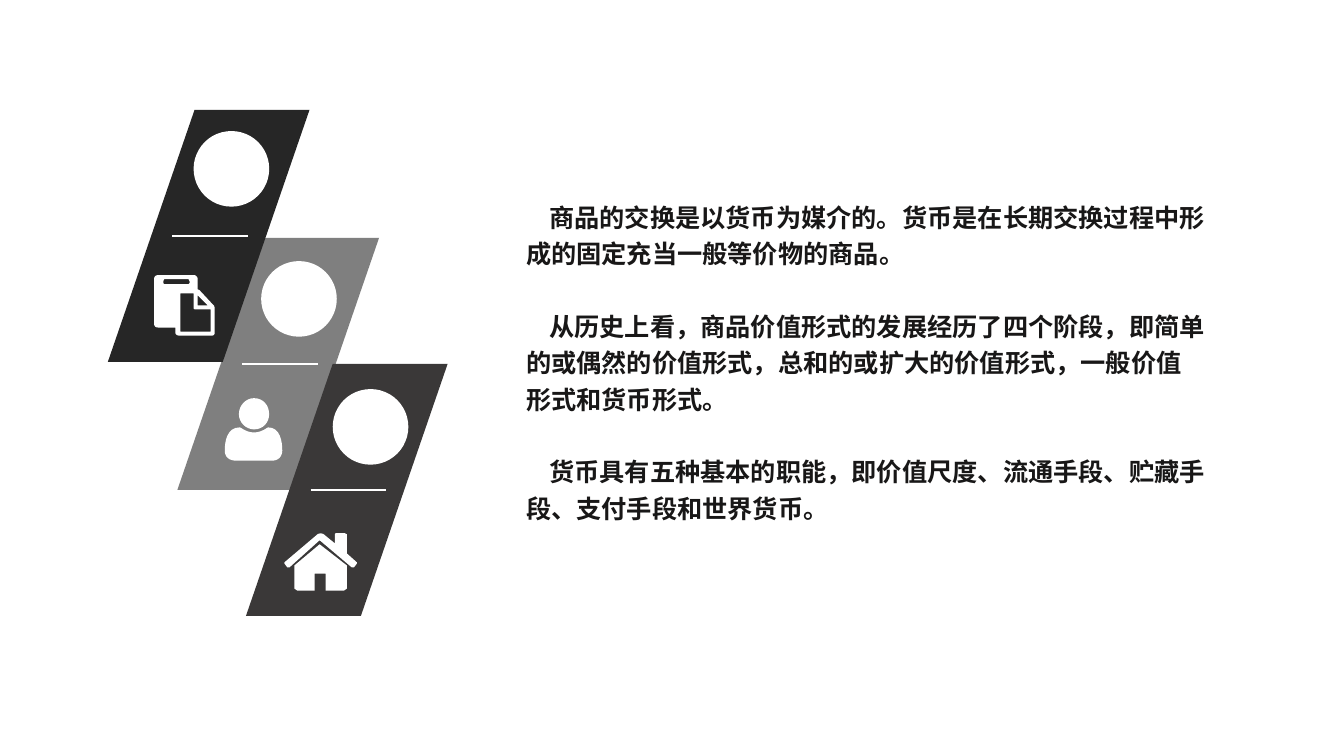
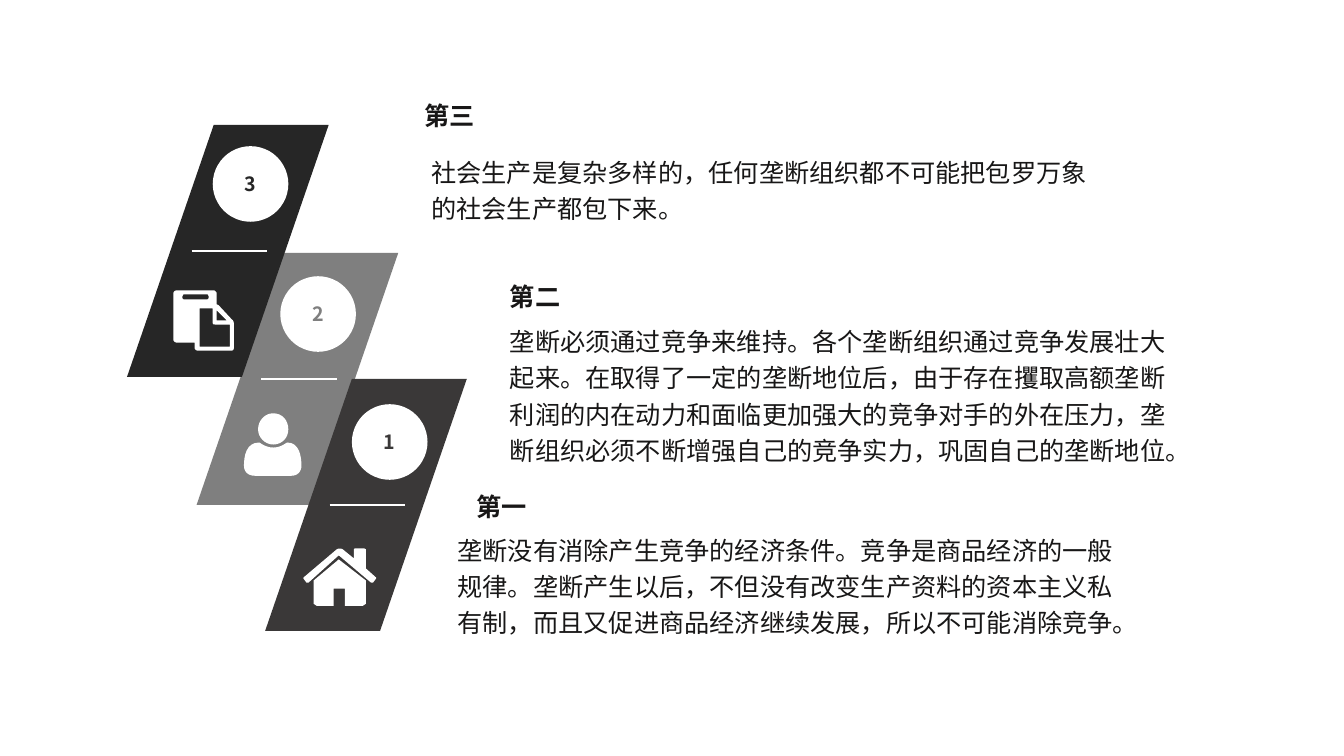
from lxml import etree
from pptx import Presentation
from pptx.dml.color import RGBColor
from pptx.enum.shapes import MSO_CONNECTOR, MSO_SHAPE
from pptx.enum.text import MSO_ANCHOR, PP_ALIGN
from pptx.oxml.ns import qn
from pptx.util import Inches, Pt

PARALLELOGRAM, OVAL = MSO_SHAPE.PARALLELOGRAM, MSO_SHAPE.OVAL
STRAIGHT = MSO_CONNECTOR.STRAIGHT
CENTER, MIDDLE = PP_ALIGN.CENTER, MSO_ANCHOR.MIDDLE

COLORS = {"black": "262626", "gray": "7F7F7F", "dark": "3A3838",
          "white": "FFFFFF", "text": "181717"}
TEXT_FONT, NUMBER_FONT = "Arial", "Noto Sans CJK SC"

MONEY_PARAGRAPHS = [
    "商品的交换是以货币为媒介的。货币是在长期交换过程中形成的固定充当一般等价物的商品。",
    "从历史上看，商品价值形式的发展经历了四个阶段，即简单的或偶然的价值形式，"
    "总和的或扩大的价值形式，一般价值形式和货币形式。",
    "货币具有五种基本的职能，即价值尺度、流通手段、贮藏手段、支付手段和世界货币。",
]

# heading, heading position, body, body position, body lines
MONOPOLY_POINTS = [
    ("第三", (4.11, 0.95),
     "社会生产是复杂多样的，任何垄断组织都不可能把包罗万象的社会生产都包下来。",
     (4.18, 1.45), 2),
    ("第二", (4.96, 2.74),
     "垄断必须通过竞争来维持。各个垄断组织通过竞争发展壮大起来。在取得了一定的垄断地位后，"
     "由于存在攫取高额垄断利润的内在动力和面临更加强大的竞争对手的外在压力，"
     "垄断组织必须不断增强自己的竞争实力，巩固自己的垄断地位。",
     (4.96, 3.13), 4),
    ("第一", (4.63, 4.82),
     "垄断没有消除产生竞争的经济条件。竞争是商品经济的一般规律。垄断产生以后，"
     "不但没有改变生产资料的资本主义私有制，而且又促进商品经济继续发展，所以不可能消除竞争。",
     (4.44, 5.2), 3),
]

# Icon outlines in inches: a pair is a corner, six numbers are a Bezier curve.
DOCUMENTS = [
    [(0.6, 0.57), (0.6, 0.59, 0.59, 0.6, 0.57, 0.6), (0.25, 0.6),
     (0.23, 0.6, 0.21, 0.59, 0.21, 0.57), (0.21, 0.52), (0.04, 0.52),
     (0.01, 0.52, 0, 0.5, 0, 0.49), (0, 0.03), (0, 0.02, 0.01, 0, 0.04, 0),
     (0.4, 0), (0.41, 0, 0.43, 0.02, 0.43, 0.03), (0.43, 0.14), (0.45, 0.15),
     (0.58, 0.29), (0.6, 0.3, 0.6, 0.33, 0.6, 0.34)],
    [(0.35, 0.06), (0.34, 0.04), (0.1, 0.04), (0.09, 0.06), (0.09, 0.08),
     (0.1, 0.09), (0.34, 0.09), (0.35, 0.08)],
    [(0.56, 0.56), (0.56, 0.34), (0.42, 0.34), (0.4, 0.34, 0.39, 0.34, 0.39, 0.32),
     (0.39, 0.18), (0.26, 0.18), (0.26, 0.56)],
    [(0.53, 0.3), (0.43, 0.2), (0.43, 0.3)],
]
PERSON = [
    [(0.47, 0.62), (0.11, 0.62), (0.04, 0.62, 0, 0.58, 0, 0.52),
     (0, 0.43, 0.02, 0.29, 0.15, 0.29), (0.16, 0.29, 0.21, 0.34, 0.29, 0.34),
     (0.37, 0.34, 0.42, 0.29, 0.43, 0.29), (0.55, 0.29, 0.57, 0.43, 0.57, 0.52),
     (0.57, 0.58, 0.53, 0.62, 0.47, 0.62)],
    [(0.29, 0.31), (0.21, 0.31, 0.14, 0.24, 0.14, 0.16),
     (0.14, 0.07, 0.21, 0, 0.29, 0), (0.38, 0, 0.44, 0.07, 0.44, 0.16),
     (0.44, 0.24, 0.38, 0.31, 0.29, 0.31)],
]
HOUSE = [
    [(0.69, 0.34), (0.67, 0.34), (0.35, 0.07), (0.05, 0.34), (0.03, 0.34),
     (0, 0.3), (0, 0.29), (0.33, 0.01), (0.34, 0, 0.38, 0, 0.39, 0.01),
     (0.5, 0.1), (0.5, 0.01), (0.51, 0), (0.6, 0), (0.62, 0.01), (0.62, 0.2),
     (0.72, 0.29), (0.72, 0.3)],
    [(0.62, 0.55), (0.59, 0.57), (0.41, 0.57), (0.41, 0.4), (0.3, 0.4),
     (0.3, 0.57), (0.13, 0.57), (0.1, 0.55), (0.1, 0.32), (0.35, 0.11),
     (0.62, 0.32)],
]

# colour, strip position, circle offset, icon, icon offset
STRIPS = [
    ("gray", (1.76, 2.36), (0.83, 0.23), PERSON, (0.47, 1.59)),
    ("dark", (2.44, 3.61), (0.86, 0.25), HOUSE, (0.38, 1.68)),
    ("black", (1.07, 1.09), (0.85, 0.21), DOCUMENTS, (0.46, 1.64)),
]
STRIP_SIZE, CIRCLE_SIZE = (2, 2.5), (0.75, 0.75)
RULE_OFFSET, RULE_WIDTH = (0.64, 1.25), 0.75
BODY_WIDTH, LINE_HEIGHT = 6.93, 0.36


def rgb(name):
    return RGBColor.from_string(COLORS[name])


def shifted(point, offset):
    return point[0] + offset[0], point[1] + offset[1]


def paint(sp, color):
    sp.shadow.inherit = False
    sp.fill.solid()
    sp.fill.fore_color.rgb = rgb(color)
    sp.line.fill.background()


def add_filled(shapes, kind, pos, size, color):
    sp = shapes.add_shape(kind, *map(Inches, pos + size))
    paint(sp, color)
    return sp


def flatten(outline, steps=8):
    """Turn corners and Bezier curves into a list of points in EMU."""
    points = []
    for item in outline:
        if len(item) == 2:
            points.append(item)
            continue
        knots = [points[-1], item[:2], item[2:4], item[4:]]
        for i in range(1, steps + 1):
            t = i / steps
            weights = ((1 - t) ** 3, 3 * t * (1 - t) ** 2, 3 * t * t * (1 - t), t ** 3)
            points.append(tuple(sum(w * k[axis] for w, k in zip(weights, knots))
                                for axis in (0, 1)))
    return [(Inches(x), Inches(y)) for x, y in points]


def add_icon(shapes, outlines, pos):
    first, *others = map(flatten, outlines)
    builder = shapes.build_freeform(*first[0])
    builder.add_line_segments(first[1:], close=True)
    for points in others:
        builder.move_to(*points[0])
        builder.add_line_segments(points[1:], close=True)
    paint(builder.convert_to_shape(*map(Inches, pos)), "white")


def add_rule(shapes, pos):
    x, y = pos
    line = shapes.add_connector(STRAIGHT, *map(Inches, (x, y, x + RULE_WIDTH, y)))
    line.line.color.rgb = rgb("white")
    line.line.width = Pt(1)
    etree.SubElement(line._element.spPr, qn("a:effectLst"))


def format_run(p, font, size, color, bold):
    f = p.runs[0].font
    f.name, f.size, f.bold = font, Pt(size), bold
    f.color.rgb = rgb(color)
    ea = etree.SubElement(p.runs[0]._r.get_or_add_rPr(), qn("a:ea"))
    ea.set("typeface", font)


def add_strips(slide, offset=(0, 0), numbers=None):
    """Draw the staircase of three strips, with optional numbers by colour."""
    shapes = slide.shapes.add_group_shape().shapes
    for color, pos, circle_offset, icon, icon_offset in STRIPS:
        pos = shifted(pos, offset)
        strip = add_filled(shapes, PARALLELOGRAM, pos, STRIP_SIZE, color)
        strip.adjustments[0] = 0.43
        add_rule(shapes, shifted(pos, RULE_OFFSET))
        circle = add_filled(shapes, OVAL, shifted(pos, circle_offset), CIRCLE_SIZE, "white")
        add_icon(shapes, icon, shifted(pos, icon_offset))
        if numbers:
            tf = circle.text_frame
            tf.text = numbers[color]
            tf.word_wrap = False
            tf.vertical_anchor = MIDDLE
            tf.paragraphs[0].alignment = CENTER
            format_run(tf.paragraphs[0], NUMBER_FONT, 14, color, True)


def add_text(slide, pos, size, paragraphs, bold=False, spacing=1.2, indent=0):
    tf = slide.shapes.add_textbox(*map(Inches, pos + size)).text_frame
    tf.word_wrap = True
    for i, text in enumerate(paragraphs):
        p = tf.add_paragraph() if i else tf.paragraphs[0]
        p.text = text
        p.line_spacing = spacing
        if i:
            p.space_before = Pt(26)
        if indent:
            p._p.get_or_add_pPr().set("indent", str(Inches(indent)))
        format_run(p, TEXT_FONT, 18, "text", bold)


def main():
    prs = Presentation()
    prs.slide_width, prs.slide_height = Inches(13.33), Inches(7.5)
    blank = prs.slide_layouts[6]

    money = prs.slides.add_slide(blank)
    add_strips(money)
    add_text(money, (5.12, 1.9), (BODY_WIDTH, 4.21), MONEY_PARAGRAPHS,
             bold=True, indent=0.23)

    monopoly = prs.slides.add_slide(blank)
    add_strips(monopoly, (0.19, 0.15), {"black": "3", "gray": "2", "dark": "1"})
    for heading, heading_pos, body, body_pos, lines in MONOPOLY_POINTS:
        add_text(monopoly, heading_pos, (1.36, 0.38), [heading], bold=True, spacing=1)
        add_text(monopoly, body_pos, (BODY_WIDTH, lines * LINE_HEIGHT + 0.1), [body])

    prs.save("out.pptx")


if __name__ == "__main__":
    main()
